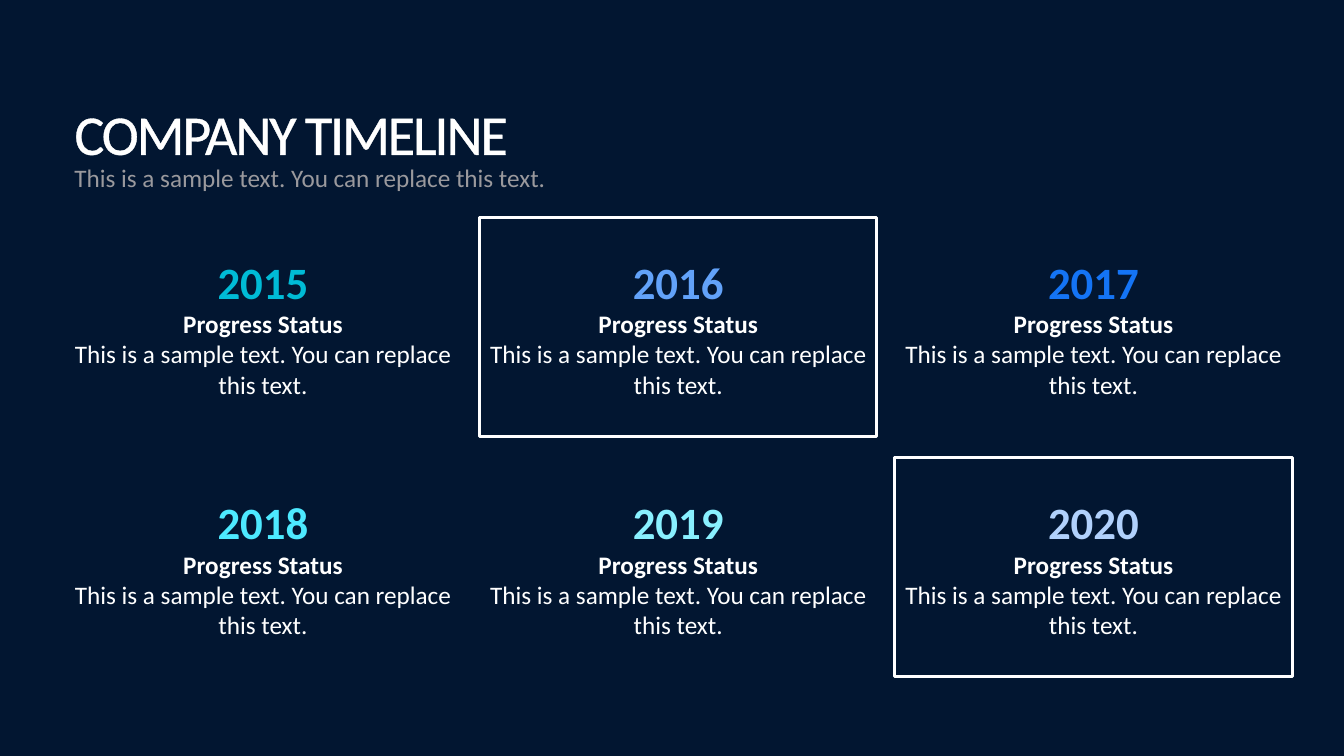
from dataclasses import dataclass

from lxml.etree import SubElement
from pptx import Presentation
from pptx.dml.color import RGBColor
from pptx.enum.shapes import MSO_SHAPE
from pptx.enum.text import MSO_ANCHOR, MSO_AUTO_SIZE, PP_ALIGN
from pptx.oxml.ns import qn
from pptx.util import Pt


@dataclass(frozen=True)
class Theme:
    font: str = "Calibri"
    navy: str = "021631"
    white: str = "FFFFFF"
    grey: str = "9A999D"
    title_size: float = 40
    year_size: float = 32
    body_size: float = 18
    border: float = 2.25
    title_outline: float = 0.25
    title_spacing: float = -1.5


class TimelineSlide:
    def __init__(self, presentation, theme):
        self.theme = theme
        self.slide = presentation.slides.add_slide(presentation.slide_layouts[5])
        background = self.slide.background.fill
        background.solid()
        background.fore_color.rgb = RGBColor.from_string(theme.navy)

    def style(self, font, size, color, bold=False):
        font.name = self.theme.font
        font.size = Pt(size)
        font.bold = bold
        font.color.rgb = RGBColor.from_string(color)

    def title(self, text, left, top, width, height):
        heading = self.slide.shapes.title
        heading.left, heading.top = Pt(left), Pt(top)
        heading.width, heading.height = Pt(width), Pt(height)
        frame = heading.text_frame
        frame.word_wrap = False
        frame.auto_size = MSO_AUTO_SIZE.NONE
        frame.vertical_anchor = MSO_ANCHOR.TOP
        paragraph = frame.paragraphs[0]
        paragraph.alignment = PP_ALIGN.LEFT
        run = paragraph.add_run()
        run.text = text
        self.style(run.font, self.theme.title_size, self.theme.white)
        properties = run.font._element
        properties.set("spc", str(int(self.theme.title_spacing * 100)))
        outline = SubElement(properties, qn("a:ln"), w=str(Pt(self.theme.title_outline)))
        fill = SubElement(outline, qn("a:solidFill"))
        SubElement(fill, qn("a:srgbClr"), val=self.theme.white)
        properties.insert(0, outline)

    def subtitle(self, text, left, top, width, height):
        caption = self.slide.shapes.add_textbox(Pt(left), Pt(top), Pt(width), Pt(height))
        caption.text_frame.word_wrap = False
        paragraph = caption.text_frame.paragraphs[0]
        paragraph.text = text
        self.style(paragraph.font, self.theme.body_size, self.theme.grey)

    def card(self, year, color, status, detail, framed, left, top, width, height):
        theme = self.theme
        panel = self.slide.shapes.add_shape(
            MSO_SHAPE.RECTANGLE, Pt(left), Pt(top), Pt(width), Pt(height))
        panel.shadow.inherit = False
        panel.fill.solid()
        panel.fill.fore_color.rgb = RGBColor.from_string(theme.navy)
        if framed:
            panel.line.color.rgb = RGBColor.from_string(theme.white)
            panel.line.width = Pt(theme.border)
        else:
            panel.line.fill.background()
        frame = panel.text_frame
        frame.word_wrap = True
        frame.vertical_anchor = MSO_ANCHOR.MIDDLE
        frame.text = "\n".join((year, status, detail))
        styles = (
            (theme.year_size, color, True),
            (theme.body_size, theme.white, True),
            (theme.body_size, theme.white, False),
        )
        for paragraph, style in zip(frame.paragraphs, styles):
            paragraph.alignment = PP_ALIGN.CENTER
            self.style(paragraph.font, *style)


def main():
    presentation = Presentation()
    presentation.slide_width, presentation.slide_height = Pt(960), Pt(540)
    timeline = TimelineSlide(presentation, Theme())

    sample = "This is a sample text. You can replace this text."
    left, top = 46, 155.4
    card_width, card_height = 283.8, 156.4
    column_step, row_step = 296.6, 171.6
    columns = 3
    milestones = (
        ("2015", "00BBD6", False),
        ("2016", "62A2F9", True),
        ("2017", "1474F5", False),
        ("2018", "4DE9FF", False),
        ("2019", "89F0FF", False),
        ("2020", "B1D1FC", True),
    )

    timeline.subtitle(sample, left, 112.4, 359.3, 29)
    timeline.title("COMPANY TIMELINE", left, 67, 326, 55.7)
    for index, (year, color, framed) in enumerate(milestones):
        row, column = divmod(index, columns)
        timeline.card(year, color, "Progress Status", sample, framed,
                      left + column * column_step, top + row * row_step,
                      card_width, card_height)

    presentation.save("out.pptx")


if __name__ == "__main__":
    main()
